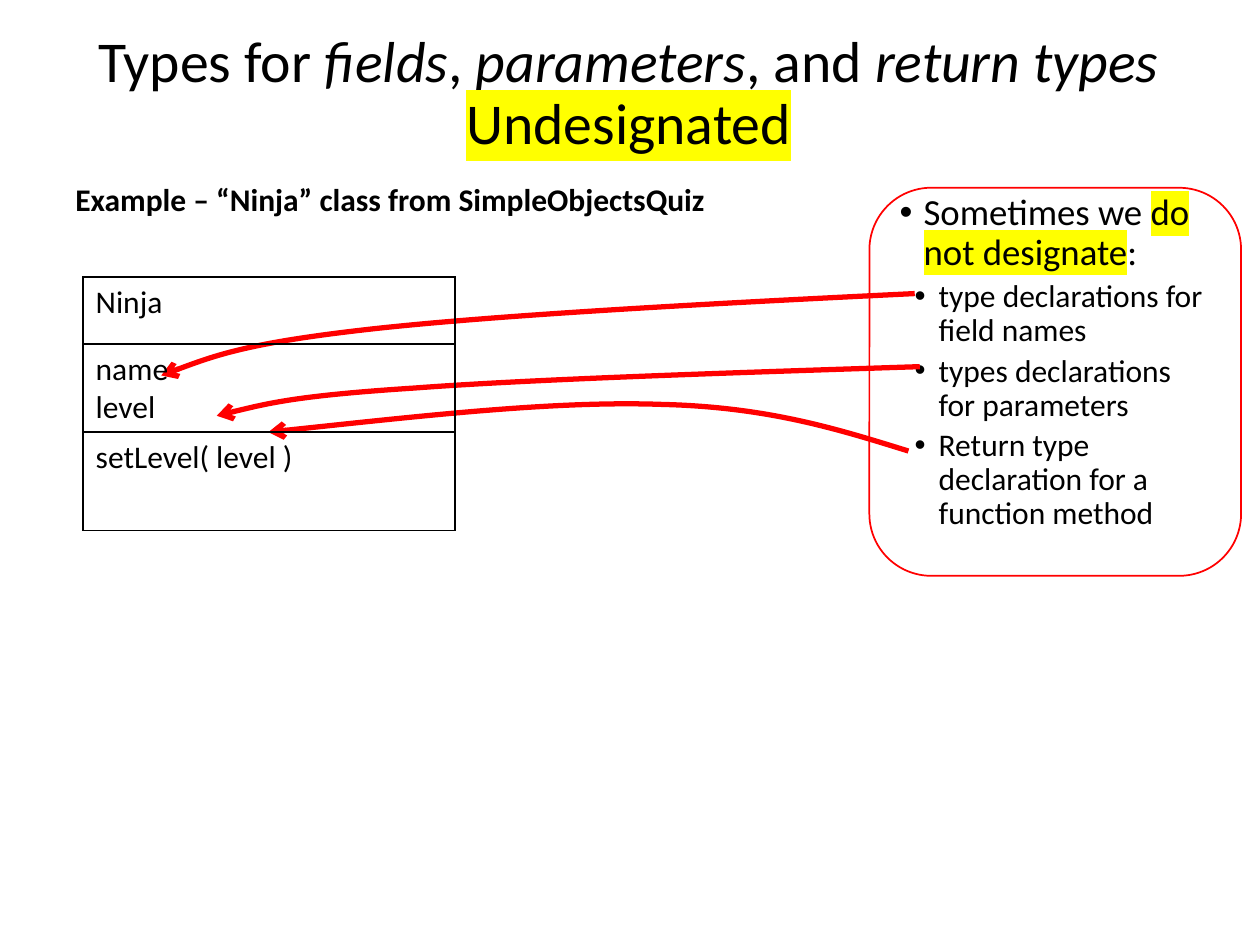
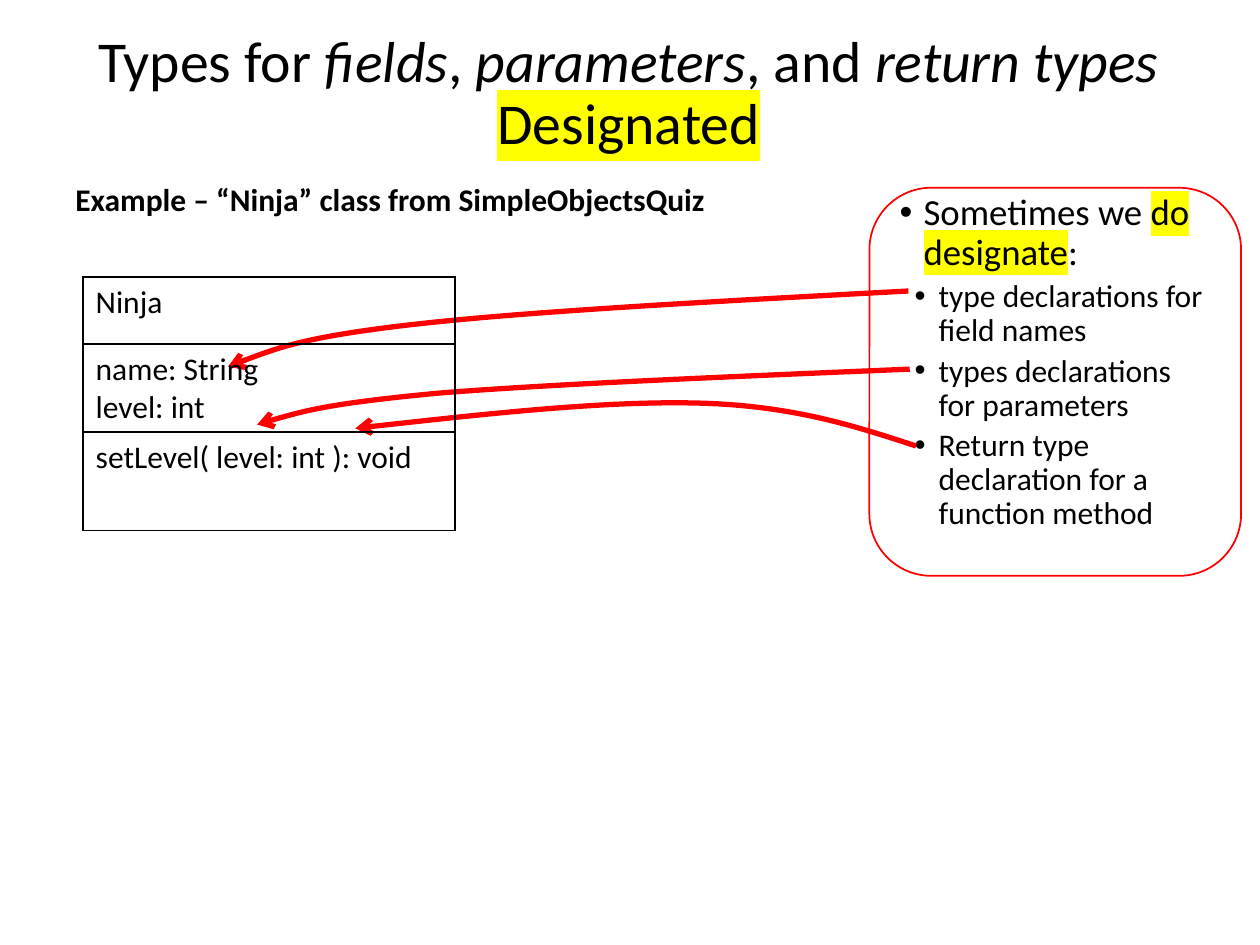
from dataclasses import dataclass

from lxml.etree import SubElement
from pptx import Presentation
from pptx.dml.color import RGBColor
from pptx.enum.shapes import MSO_SHAPE
from pptx.enum.text import MSO_ANCHOR, MSO_AUTO_SIZE, PP_ALIGN
from pptx.oxml.ns import qn
from pptx.util import Inches, Pt

COLORS = {"text": "000000", "accent": "FF0000", "highlight": "FFFF00"}
FONT = "Calibri"
TITLE_LAYOUT = 1
ROW_HEIGHTS = (0.53, 0.55, 0.78)

Point = tuple[float, float]


@dataclass(frozen=True)
class Span:
    text: str
    italic: bool = False
    marked: bool = False


@dataclass(frozen=True)
class TypeSlide:
    title_word: str
    choice: str
    class_rows: tuple[tuple[str, ...], ...]
    arrows: tuple[tuple[Point, ...], ...]  # start, then Bezier triples


TITLE_SPANS = (
    Span("Types for "), Span("fields", italic=True), Span(","),
    Span(" parameters", italic=True), Span(", and"),
    Span(" return types", italic=True),
)
DECLARATIONS = (
    "type declarations for field names",
    "types declarations for parameters",
    "Return type declaration for a function method",
)

SLIDES = (
    TypeSlide(
        "Undesignated", "do not designate",
        (("Ninja",), ("name", "level"), ("setLevel( level )",)),
        (
            ((7.26, 2.33), (5.61, 2.41), (3.96, 2.5), (2.96, 2.61),
             (1.97, 2.72), (1.62, 2.85), (1.28, 2.98)),
            ((7.3, 2.91), (5.76, 2.96), (4.22, 3.01), (3.29, 3.08),
             (2.36, 3.14), (2.04, 3.22), (1.72, 3.3)),
            ((7.21, 3.58), (6.66, 3.41), (6.1, 3.23), (5.25, 3.21),
             (4.4, 3.18), (3.27, 3.31), (2.13, 3.43)),
        ),
    ),
    TypeSlide(
        "Designated", "do designate",
        (("Ninja",), ("name: String", "level: int"),
         ("setLevel( level: int ): void",)),
        (
            ((7.21, 2.31), (5.72, 2.39), (4.23, 2.47), (3.33, 2.57),
             (2.43, 2.67), (2.12, 2.79), (1.81, 2.91)),
            ((7.22, 2.93), (5.79, 2.99), (4.36, 3.05), (3.49, 3.12),
             (2.63, 3.2), (2.33, 3.28), (2.04, 3.37)),
            ((7.27, 3.54), (6.78, 3.38), (6.29, 3.22), (5.55, 3.2),
             (4.81, 3.18), (3.81, 3.29), (2.82, 3.4)),
        ),
    ),
)


def color(name: str) -> RGBColor:
    return RGBColor.from_string(COLORS[name])


def place(shape, left: float, top: float, width: float, height: float) -> None:
    shape.left, shape.top = Inches(left), Inches(top)
    shape.width, shape.height = Inches(width), Inches(height)


def write(frame, spans, *, size: float = 18, bold: bool = False,
          align=PP_ALIGN.LEFT, line_spacing: float = 1.0, before: float = 0,
          level: int = 0, bullet_indent: float = 0) -> None:
    """Write one paragraph, reusing the first one while it is empty."""
    para = frame.paragraphs[-1]
    if para.runs:
        para = frame.add_paragraph()
    para.alignment, para.level = align, level
    para.line_spacing, para.space_before = line_spacing, Pt(before)
    if bullet_indent:
        properties = para._p.get_or_add_pPr()
        properties.set("marL", str(Inches(bullet_indent)))
        properties.set("indent", str(-Inches(0.19)))
        SubElement(properties, qn("a:buFont"), typeface="Arial")
        SubElement(properties, qn("a:buChar"), char="•")
    for span in (Span(spans),) if isinstance(spans, str) else spans:
        run = para.add_run()
        run.text = span.text
        font = run.font
        font.name, font.size = FONT, Pt(size)
        font.bold, font.italic = bold, span.italic
        font.color.rgb = color("text")
        if span.marked:
            properties = run._r.get_or_add_rPr()
            mark = SubElement(properties, qn("a:highlight"))
            SubElement(mark, qn("a:srgbClr"), val=COLORS["highlight"])
            properties.find(qn("a:solidFill")).addnext(mark)


def add_title(slide, word: str) -> None:
    title = slide.shapes.title
    place(title, 0.68, 0.2, 8.62, 1.11)
    frame = title.text_frame
    frame.auto_size = MSO_AUTO_SIZE.NONE
    frame.word_wrap = False
    frame.vertical_anchor = MSO_ANCHOR.MIDDLE
    write(frame, TITLE_SPANS, size=33, line_spacing=0.9)
    write(frame, (Span(word, marked=True),), size=33, line_spacing=0.9,
          align=PP_ALIGN.CENTER)


def add_declarations(slide, choice: str) -> None:
    body = slide.placeholders[1]
    place(body, 7.04, 1.49, 2.68, 3.15)
    frame = body.text_frame
    frame.auto_size = MSO_AUTO_SIZE.NONE
    write(frame, (Span("Sometimes we "), Span(choice, marked=True), Span(":")),
          size=21, line_spacing=0.9, before=7.5, bullet_indent=0.19)
    for declaration in DECLARATIONS:
        write(frame, declaration, line_spacing=0.9, before=3.8, level=1,
              bullet_indent=0.31)

    outline = slide.shapes.add_shape(
        MSO_SHAPE.ROUNDED_RECTANGLE,
        Inches(6.9), Inches(1.49), Inches(2.95), Inches(3.08))
    style_outline(outline, 1)


def style_outline(shape, width: float) -> None:
    shape.shadow.inherit = False
    shape.fill.background()
    shape.line.color.rgb = color("accent")
    shape.line.width = Pt(width)


def add_example(slide) -> None:
    box = slide.shapes.add_textbox(
        Inches(0.5), Inches(1.38), Inches(5.97), Inches(0.4))
    box.text_frame.word_wrap = True
    write(box.text_frame, "Example – “Ninja” class from SimpleObjectsQuiz",
          bold=True)


def add_arrow(slide, points: tuple[Point, ...]) -> None:
    corners = [(Inches(x), Inches(y)) for x, y in points]
    builder = slide.shapes.build_freeform(*corners[0])
    builder.add_line_segments(corners[1:], close=False)
    arrow = builder.convert_to_shape()
    style_outline(arrow, 3)
    SubElement(arrow.line._get_or_add_ln(), qn("a:tailEnd"), type="arrow")

    # Merge each three straight segments into one Bezier segment
    segments = list(arrow._element.iter(qn("a:lnTo")))
    for first in range(0, len(segments), 3):
        triple = segments[first:first + 3]
        curve = SubElement(triple[0].getparent(), qn("a:cubicBezTo"))
        for segment in triple:
            curve.append(segment[0])
            segment.getparent().remove(segment)


def style_cell(cell) -> None:
    properties = cell._tc.get_or_add_tcPr()
    for side in ("lnL", "lnR", "lnT", "lnB"):
        border = SubElement(properties, qn(f"a:{side}"), w=str(Pt(1)))
        fill = SubElement(border, qn("a:solidFill"))
        SubElement(fill, qn("a:srgbClr"), val=COLORS["text"])
    cell.fill.background()


def add_class_table(slide, rows: tuple[tuple[str, ...], ...]) -> None:
    table = slide.shapes.add_table(
        len(rows), 1, Inches(0.66), Inches(2.2), Inches(2.95),
        Inches(sum(ROW_HEIGHTS))).table
    table.first_row = table.horz_banding = False
    for index, (lines, height) in enumerate(zip(rows, ROW_HEIGHTS)):
        table.rows[index].height = Inches(height)
        cell = table.cell(index, 0)
        style_cell(cell)
        for line in lines:
            write(cell.text_frame, line)


def main() -> None:
    deck = Presentation()
    deck.slide_width, deck.slide_height = Inches(10), Inches(7.5)
    for content in SLIDES:
        slide = deck.slides.add_slide(deck.slide_layouts[TITLE_LAYOUT])
        add_title(slide, content.title_word)
        add_example(slide)
        add_declarations(slide, content.choice)
        for points in content.arrows:
            add_arrow(slide, points)
        add_class_table(slide, content.class_rows)
    deck.save("out.pptx")


if __name__ == "__main__":
    main()
